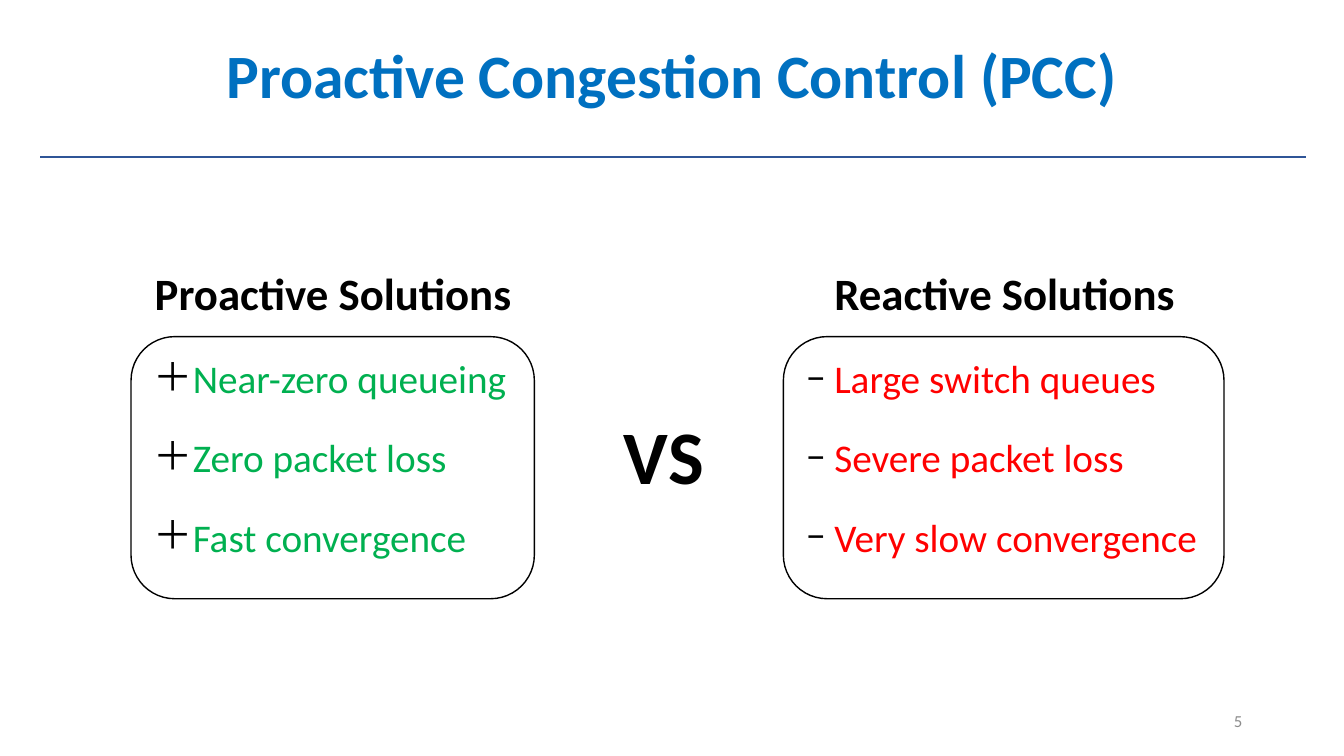
from lxml import etree
from pptx import Presentation
from pptx.dml.color import RGBColor
from pptx.enum import shapes, text
from pptx.oxml.ns import qn
from pptx.util import Inches, Pt

BLACK = "000000"


def color(value):
    return RGBColor.from_string(value)


def write(para, words, size, hue, bold=False, align=text.PP_ALIGN.LEFT):
    para.text = words
    para.alignment = align
    font = para.runs[0].font
    font.name, font.size, font.bold = "Calibri", Pt(size), bold
    font.color.rgb = color(hue)


deck = Presentation()
deck.slide_width, deck.slide_height = Inches(13.33), Inches(7.5)
page = deck.slides.add_slide(deck.slide_layouts[5])

# Title and the rule below it
title = page.shapes.title
title.left, title.top = Inches(0), Inches(0)
title.width, title.height = Inches(13.33), Inches(1.55)
title.text_frame.vertical_anchor = text.MSO_ANCHOR.MIDDLE
heading = title.text_frame.paragraphs[0]
write(heading, "Proactive Congestion Control (PCC)", 44, "0070C0", True,
      text.PP_ALIGN.CENTER)
heading.line_spacing = 0.9

rule = page.shapes.add_connector(shapes.MSO_CONNECTOR.STRAIGHT, Inches(0.4),
                                 Inches(1.56), Inches(12.95), Inches(1.56))
rule.line.color.rgb = color("2F5597")
rule.line.width = Pt(1.5)
etree.SubElement(rule._element.spPr, qn("a:effectLst"))

# Rounded cards: left, width, bullet, hanging indent, text colour, points
cards = [
    (7.77, 4.37, "−", 0.28, "FF0000",
     ["Large switch queues", "Severe packet loss", "Very slow convergence"]),
    (1.3, 4, "＋", 0.38, "00B050",
     ["Near-zero queueing", "Zero packet loss", "Fast convergence"]),
]
for left, width, bullet, indent, hue, points in cards:
    card = page.shapes.add_shape(shapes.MSO_SHAPE.ROUNDED_RECTANGLE, Inches(left),
                                 Inches(3.34), Inches(width), Inches(2.6))
    card.shadow.inherit = False
    card.fill.solid()
    card.fill.fore_color.rgb = color("FFFFFF")
    card.line.color.rgb = color(BLACK)
    card.line.width = Pt(1)
    frame = card.text_frame
    frame.word_wrap = True
    frame.vertical_anchor = text.MSO_ANCHOR.TOP
    for number, point in enumerate(points):
        para = frame.add_paragraph() if number else frame.paragraphs[0]
        write(para, point, 28, hue)
        para.space_after = Pt(23)
        props = para._p.get_or_add_pPr()
        props.set("marL", str(Inches(indent)))
        props.set("indent", str(-Inches(indent)))
        bullet_color = etree.SubElement(props, qn("a:buClr"))
        etree.SubElement(bullet_color, qn("a:srgbClr"), val=BLACK)
        etree.SubElement(props, qn("a:buFont"), typeface="Calibri")
        etree.SubElement(props, qn("a:buChar"), char=bullet)

# Labels: words, left, top, width, height, size, colour, bold, alignment, wrap
center, right = text.PP_ALIGN.CENTER, text.PP_ALIGN.RIGHT
labels = [
    ("Reactive Solutions", 7.9, 2.58, 4.13, 0.64, 32, BLACK, True, center, True),
    ("Proactive Solutions", 1.24, 2.58, 4.13, 0.64, 32, BLACK, True, center, True),
    ("VS", 6.09, 4, 1, 1.01, 54, BLACK, True, text.PP_ALIGN.LEFT, False),
    ("5", 9.42, 6.95, 3, 0.4, 12, "8C8C8C", False, right, True),
]
for words, left, top, width, height, size, hue, bold, align, wrap in labels:
    box = page.shapes.add_textbox(Inches(left), Inches(top), Inches(width), Inches(height))
    box.text_frame.word_wrap = wrap
    box.text_frame.vertical_anchor = text.MSO_ANCHOR.MIDDLE
    write(box.text_frame.paragraphs[0], words, size, hue, bold, align)

deck.save("out.pptx")
